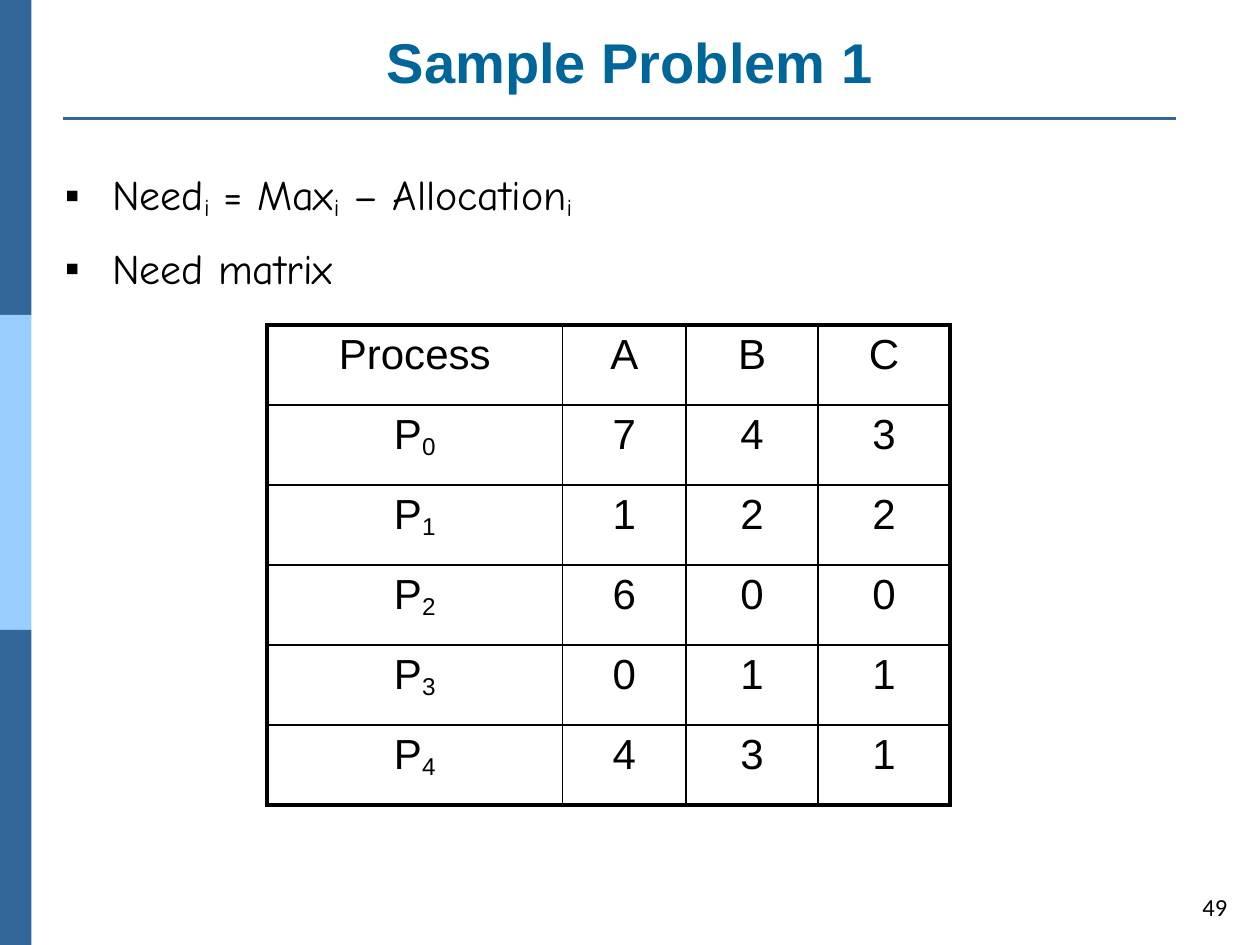
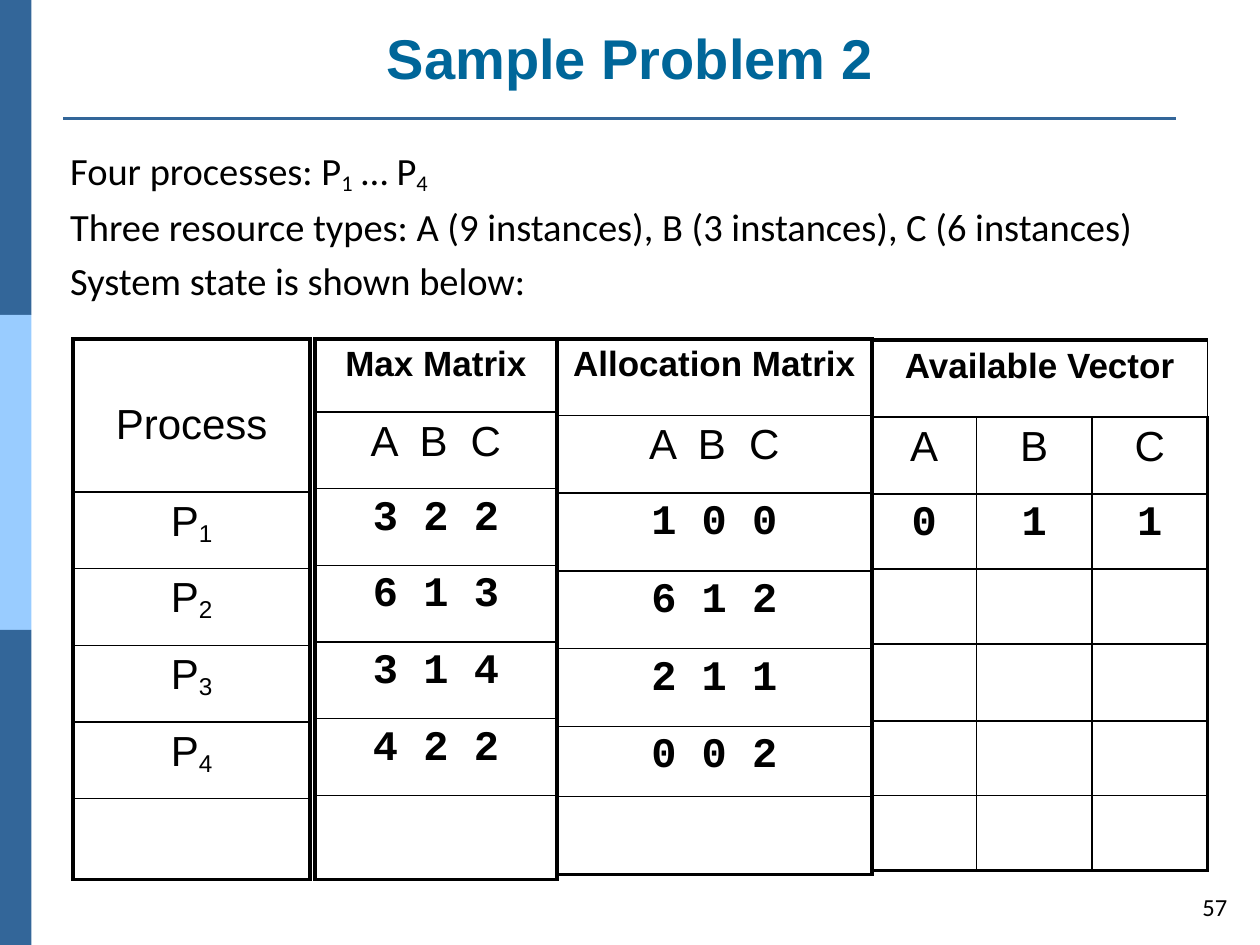
from dataclasses import dataclass
from itertools import accumulate

from lxml import etree
from pptx import Presentation
from pptx.dml.color import RGBColor
from pptx.enum.shapes import MSO_CONNECTOR, MSO_SHAPE
from pptx.enum.text import MSO_ANCHOR, PP_ALIGN
from pptx.oxml.ns import qn
from pptx.util import Pt

RECTANGLE = MSO_SHAPE.RECTANGLE
STRAIGHT = MSO_CONNECTOR.STRAIGHT
TOP, MIDDLE, BOTTOM = MSO_ANCHOR.TOP, MSO_ANCHOR.MIDDLE, MSO_ANCHOR.BOTTOM
LEFT, CENTER, RIGHT = PP_ALIGN.LEFT, PP_ALIGN.CENTER, PP_ALIGN.RIGHT
BLANK_LAYOUT = 6


@dataclass(frozen=True)
class TextStyle:
    font: str
    size: float
    color: str
    bold: bool = False


@dataclass(frozen=True)
class Theme:
    ink: str = "000000"
    band_dark: str = "336699"
    band_light: str = "99CCFF"
    title: TextStyle = TextStyle("Arial", 32, "006699", True)
    bullet: TextStyle = TextStyle("Comic Neue", 24, "000000")
    body: TextStyle = TextStyle("Calibri", 22, "000000")
    page: TextStyle = TextStyle("Calibri", 14, "000000")
    heading: TextStyle = TextStyle("Arial", 20, "000000", True)
    label: TextStyle = TextStyle("Arial", 24, "000000")
    state: TextStyle = TextStyle("Courier New", 24, "000000", True)
    rule_width: float = 1.5
    outer_border: float = 2.25
    inner_border: float = 1
    subscript: int = -14000
    column_spacing: int = 333


THEME = Theme()


def write(paragraph, text, style):
    """Each underscore makes the next character a subscript."""
    base, *pieces = text.split("_")
    paragraph.text = base
    for piece in pieces:
        for part, offset in ((piece[:1], THEME.subscript), (piece[1:], 0)):
            if part:
                run = paragraph.add_run()
                run.text = part
                run._r.get_or_add_rPr().set("baseline", str(offset))
    for run in paragraph.runs:
        run.font.name = style.font
        run.font.size = Pt(style.size)
        run.font.bold = style.bold
        run.font.color.rgb = RGBColor.from_string(style.color)


def add_bullet(paragraph, indent=27):
    props = paragraph._p.get_or_add_pPr()
    props.set("marL", str(Pt(indent)))
    props.set("indent", str(-Pt(indent)))
    etree.SubElement(props, qn("a:buFont")).set("typeface", "Arial")
    etree.SubElement(props, qn("a:buChar")).set("char", "▪")


def add_text(slide, box, lines, style, align=LEFT, anchor=TOP, gap=0, bullets=False):
    frame = slide.shapes.add_textbox(*map(Pt, box)).text_frame
    frame.word_wrap = True
    frame.vertical_anchor = anchor
    for index, line in enumerate(lines):
        paragraph = frame.add_paragraph() if index else frame.paragraphs[0]
        if index:
            paragraph.space_before = Pt(gap)
        if bullets:
            add_bullet(paragraph)
        paragraph.alignment = align
        write(paragraph, line, style)


def add_side_band(slide, height=180):
    for index, color in enumerate((THEME.band_dark, THEME.band_light, THEME.band_dark)):
        band = slide.shapes.add_shape(RECTANGLE, 0, Pt(index * height), Pt(18), Pt(height))
        band.shadow.inherit = False
        band.fill.solid()
        band.fill.fore_color.rgb = RGBColor.from_string(color)
        band.line.fill.background()


def add_title_rule(slide):
    rule = slide.shapes.add_connector(STRAIGHT, Pt(36), Pt(67.6), Pt(672), Pt(67.6))
    rule.line.color.rgb = RGBColor.from_string(THEME.band_dark)
    rule.line.width = Pt(THEME.rule_width)
    etree.SubElement(rule._element.spPr, qn("a:effectLst"))


def add_problem_slide(deck, title, title_height, page):
    slide = deck.slides.add_slide(deck.slide_layouts[BLANK_LAYOUT])
    add_side_band(slide)
    add_title_rule(slide)
    add_text(slide, (24, 3, 672, title_height), [title], THEME.title, CENTER, BOTTOM)
    add_text(slide, (676, 503.3, 32.4, 29.5), [page], THEME.page, RIGHT, MIDDLE)
    return slide


def set_borders(cell, outer_sides):
    props = cell._tc.get_or_add_tcPr()
    for side, is_outer in outer_sides.items():
        width = THEME.outer_border if is_outer else THEME.inner_border
        border = etree.SubElement(props, qn(f"a:ln{side}"), w=str(Pt(width)))
        fill = etree.SubElement(border, qn("a:solidFill"))
        etree.SubElement(fill, qn("a:srgbClr"), val=THEME.ink)


def add_matrix(slide, left, top, widths, heights, rows, styles):
    """Rows and styles may stop early; the remaining cells stay empty."""
    grid = slide.shapes.add_table(
        len(heights), len(widths), Pt(left), Pt(top), Pt(sum(widths)), Pt(sum(heights))
    ).table
    grid.first_row = grid.horz_banding = False
    for column, width in zip(grid.columns, widths):
        column.width = Pt(width)
    for row, height in zip(grid.rows, heights):
        row.height = Pt(height)
    last_row, last_column = len(heights) - 1, len(widths) - 1
    for r in range(len(heights)):
        for c in range(len(widths)):
            cell = grid.cell(r, c)
            set_borders(cell, {"L": c == 0, "R": c == last_column,
                               "T": r == 0, "B": r == last_row})
            cell.fill.background()
    for r, (row, style) in enumerate(zip(rows, styles)):
        if len(row) < len(widths):
            grid.cell(r, 0).merge(grid.cell(r, last_column))
        for c, value in enumerate(row):
            paragraph = grid.cell(r, c).text_frame.paragraphs[0]
            paragraph.alignment = CENTER
            write(paragraph, value, style)
    return grid


def space_out_letters(cell):
    for run in cell.text_frame.paragraphs[0].runs:
        run._r.get_or_add_rPr().set("spc", str(THEME.column_spacing))


def add_need_slide(deck):
    slide = add_problem_slide(deck, "Sample Problem 1", 54.6, "49")
    add_text(slide, (30, 93, 658, 78), ["Need_i = Max_i – Allocation_i", "Need matrix"],
             THEME.bullet, gap=12, bullets=True)
    needs = ["743", "122", "600", "011", "431"]
    rows = [["Process", *"ABC"]]
    rows += [[f"P_{number}", *need] for number, need in enumerate(needs)]
    add_matrix(slide, 152.5, 185.8, [169, 70.6, 75.4, 75.4], [45.7] * len(rows),
               rows, [THEME.label] * len(rows))


def add_state_slide(deck):
    slide = add_problem_slide(deck, "Sample Problem 2", 52.4, "57")
    add_text(slide, (33, 80.6, 666, 101.5), [
        "Four processes: P_1 … P_4",
        "Three resource types: A (9 instances), B (3 instances), C (6 instances)",
        "System state is shown below:",
    ], THEME.body, gap=4.4)

    top = 193.7
    process_width, max_width, allocation_width = 135.4, 138.2, 180
    max_left, allocation_left, available_left = accumulate(
        (180, max_width, allocation_width))
    state_styles = [THEME.heading, THEME.label] + [THEME.state] * 4

    processes = [["Process"]] + [[f"P_{number}"] for number in range(1, 5)]
    process_grid = add_matrix(slide, 41.8, top, [process_width],
                              [87.5, *[43.8] * 4, 46.2],
                              processes, [THEME.label] * len(processes))
    process_grid.cell(0, 0).margin_top = Pt(36)

    add_matrix(slide, available_left, top + 0.7, [59.8, 66, 66],
               [44, 44, 42.8, 42.8, 44, 42.8, 42.8],
               [["Available Vector"], "ABC", "011"], state_styles)

    matrices = [
        ("Allocation Matrix", allocation_left, allocation_width,
         [43.6, *[44.5] * 4, 40, 44.5], ["1 0 0", "6 1 2", "2 1 1", "0 0 2"]),
        ("Max Matrix", max_left, max_width,
         [41.8, *[43.8] * 5, 48], ["3 2 2", "6 1 3", "3 1 4", "4 2 2"]),
    ]
    for heading, left, width, heights, states in matrices:
        rows = [[value] for value in (heading, "A B C", *states)]
        grid = add_matrix(slide, left, top, [width], heights, rows, state_styles)
        space_out_letters(grid.cell(1, 0))


def main():
    deck = Presentation()
    deck.slide_width, deck.slide_height = Pt(720), Pt(540)
    add_need_slide(deck)
    add_state_slide(deck)
    deck.save("out.pptx")


if __name__ == "__main__":
    main()
